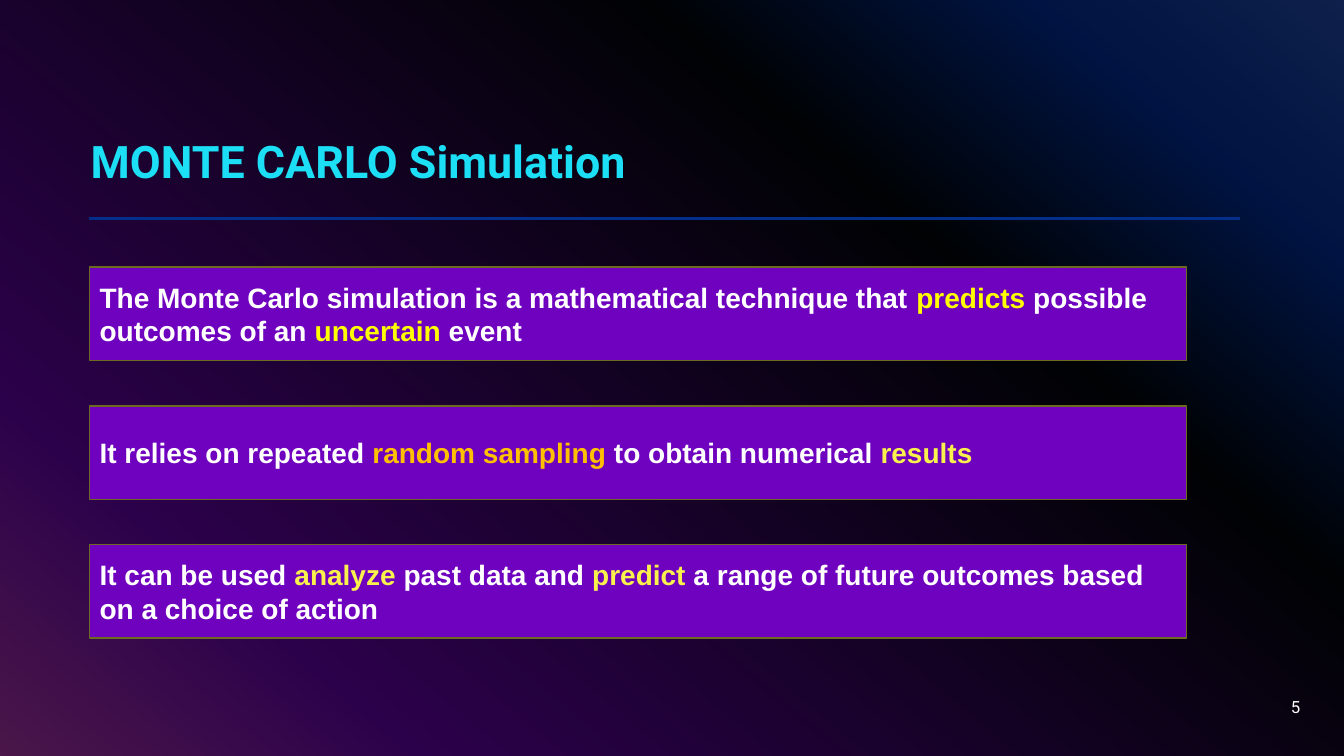
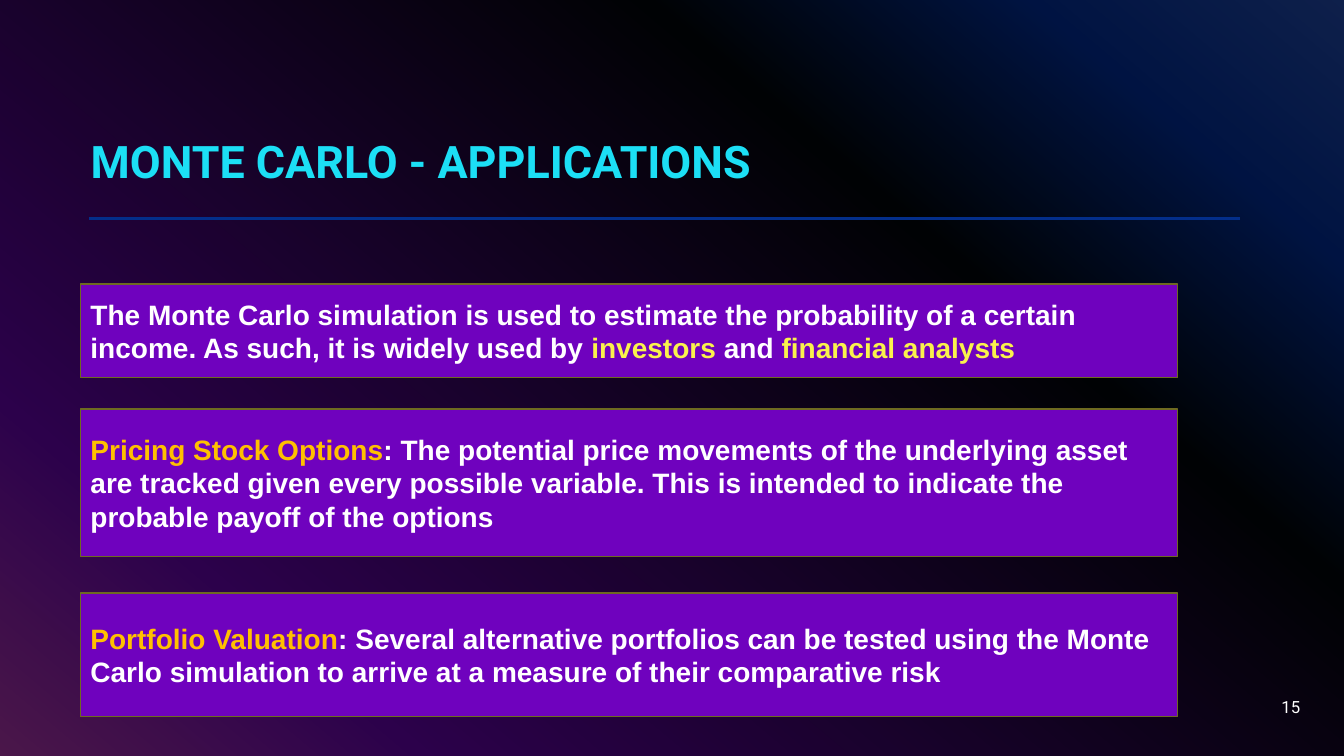
import pptx
import pptx.dml.color
import pptx.enum.shapes
import pptx.enum.text
import pptx.oxml.ns
import pptx.util
from lxml import etree

Cm = pptx.util.Cm
RGBColor = pptx.dml.color.RGBColor
Align = pptx.enum.text.PP_ALIGN
Anchor = pptx.enum.text.MSO_ANCHOR
qn = pptx.oxml.ns.qn

WHITE = RGBColor(0xFF, 0xFF, 0xFF)
BLACK = RGBColor(0x00, 0x00, 0x00)
CYAN = RGBColor(0x1C, 0xDF, 0xF5)
PURPLE = RGBColor(0x6F, 0x02, 0xBE)
OLIVE = RGBColor(0x6E, 0x6A, 0x21)
RULE_BLUE = RGBColor(0x03, 0x2E, 0x8A)
YELLOW = RGBColor(0xFF, 0xFF, 0x00)
LEMON = RGBColor(0xFA, 0xF2, 0x4C)
AMBER = RGBColor(0xFF, 0xC0, 0x00)

BACKGROUND_STOPS = [
    (0, RGBColor(0x31, 0x6C, 0xFC)),
    (14, RGBColor(0x03, 0x43, 0xDF)),
    (31, RGBColor(0x02, 0x09, 0x0E)),
    (81, RGBColor(0x94, 0x05, 0xFC)),
    (100, RGBColor(0xFC, 0x4E, 0xFB)),
]
BACKGROUND_ANGLE = 230  # counter-clockwise degrees
VEIL_OPACITY = 70

SLIDE_WIDTH, SLIDE_HEIGHT = 33.87, 19.05
TITLE_BOX = (2.03, 1.19, 29.21, 3.68)
NUMBER_BOX = (25.4, 17.3, 7.62, 1.02)
RULE_LEFT, RULE_RIGHT, RULE_TOP = 2.24, 31.24, 5.51
PANEL_WIDTH = 27.64

# Each panel: top and height in cm, then text pieces; a pair is coloured text.
SLIDES = [
    {
        "title": "MONTE CARLO Simulation",
        "number": "5",
        "left": 2.26,
        "panels": [
            (6.73, 2.36, [
                "The Monte Carlo simulation is a mathematical technique that ",
                ("predicts", YELLOW), " possible outcomes of an ",
                ("uncertain", YELLOW), " event"]),
            (10.23, 2.36, [
                "It relies on repeated ", ("random sampling", AMBER),
                " to obtain numerical ", ("results", LEMON)]),
            (13.72, 2.36, [
                "It can be used ", ("analyze", LEMON), " past data and ",
                ("predict", LEMON),
                " a range of future outcomes based on a choice of action"]),
        ],
    },
    {
        "title": "MONTE CARLO - APPLICATIONS",
        "number": "15",
        "left": 2.03,
        "panels": [
            (7.16, 2.36, [
                "The Monte Carlo simulation is used to estimate the probability "
                "of a certain income. As such, it is widely used by ",
                ("investors", LEMON), " and ", ("financial analysts", LEMON)]),
            (10.31, 3.71, [
                ("Pricing Stock Options", AMBER),
                ": The potential price movements of the underlying asset are "
                "tracked given every possible variable. This is intended to "
                "indicate the probable payoff of the options"]),
            (14.94, 3.12, [
                ("Portfolio Valuation", AMBER),
                ": Several alternative portfolios can be tested using the Monte "
                "Carlo simulation to arrive at a measure of their comparative "
                "risk"]),
        ],
    },
]


def write_text(shape, pieces, *, size, font, color=WHITE, bold=False,
               align=Align.LEFT, anchor=Anchor.MIDDLE, line_spacing=None):
    frame = shape.text_frame
    frame.word_wrap = True
    frame.vertical_anchor = anchor
    paragraph = frame.paragraphs[0]
    paragraph.alignment = align
    paragraph.line_spacing = line_spacing
    for piece in pieces:
        text, piece_color = (piece, color) if isinstance(piece, str) else piece
        run = paragraph.add_run()
        run.text = text
        run.font.size = pptx.util.Pt(size)
        run.font.name = font
        run.font.bold = bold
        run.font.color.rgb = piece_color


def add_rectangle(slide, box, fill):
    shape = slide.shapes.add_shape(
        pptx.enum.shapes.MSO_SHAPE.RECTANGLE, *map(Cm, box))
    shape.shadow.inherit = False
    shape.fill.solid()
    shape.fill.fore_color.rgb = fill
    shape.line.fill.background()
    return shape


def set_background(master):
    fill = master.background.fill
    fill.gradient()
    fill.gradient_angle = BACKGROUND_ANGLE
    stop_list = next(master.element.iter(qn("a:gsLst")))
    for stop in list(stop_list):
        stop_list.remove(stop)
    for percent, color in BACKGROUND_STOPS:
        stop = etree.SubElement(stop_list, qn("a:gs"), pos=str(percent * 1000))
        etree.SubElement(stop, qn("a:srgbClr"), val=str(color))


def decorate_layout(layout, slide):
    """Draw the veil and the title rule on a slide, then move them to its layout."""
    veil = add_rectangle(slide, (0, 0, SLIDE_WIDTH, SLIDE_HEIGHT), BLACK)
    veil_color = next(veil.element.spPr.iter(qn("a:srgbClr")))
    etree.SubElement(veil_color, qn("a:alpha"), val=str(VEIL_OPACITY * 1000))

    rule = slide.shapes.add_connector(
        pptx.enum.shapes.MSO_CONNECTOR.STRAIGHT,
        Cm(RULE_LEFT), Cm(RULE_TOP), Cm(RULE_RIGHT), Cm(RULE_TOP))
    rule.line.color.rgb = RULE_BLUE
    rule.line.width = pptx.util.Pt(2)
    etree.SubElement(rule.element.spPr, qn("a:effectLst"))

    for shape in (veil, rule):
        layout.shapes.element.append(shape.element)


def place(shape, box):
    shape.left, shape.top, shape.width, shape.height = map(Cm, box)


def fill_slide(slide, content):
    write_text(slide.shapes.title, [content["title"]], size=32, font="Roboto",
               color=CYAN, bold=True, anchor=Anchor.BOTTOM, line_spacing=0.9)
    number = slide.shapes.add_textbox(*map(Cm, NUMBER_BOX))
    write_text(number, [content["number"]], size=12, font="Roboto",
               align=Align.RIGHT)
    for top, height, pieces in content["panels"]:
        panel = add_rectangle(
            slide, (content["left"], top, PANEL_WIDTH, height), PURPLE)
        panel.line.color.rgb = OLIVE
        panel.line.width = pptx.util.Pt(1)
        write_text(panel, pieces, size=20, font="Arial", bold=True)


def main():
    presentation = pptx.Presentation()
    presentation.slide_width = Cm(SLIDE_WIDTH)
    presentation.slide_height = Cm(SLIDE_HEIGHT)
    set_background(presentation.slide_master)
    layout = presentation.slide_layouts.get_by_name("Title Only")
    place(layout.placeholders[0], TITLE_BOX)
    slides = [presentation.slides.add_slide(layout) for _ in SLIDES]
    decorate_layout(layout, slides[0])
    for slide, content in zip(slides, SLIDES):
        fill_slide(slide, content)
    presentation.save("out.pptx")


if __name__ == "__main__":
    main()
